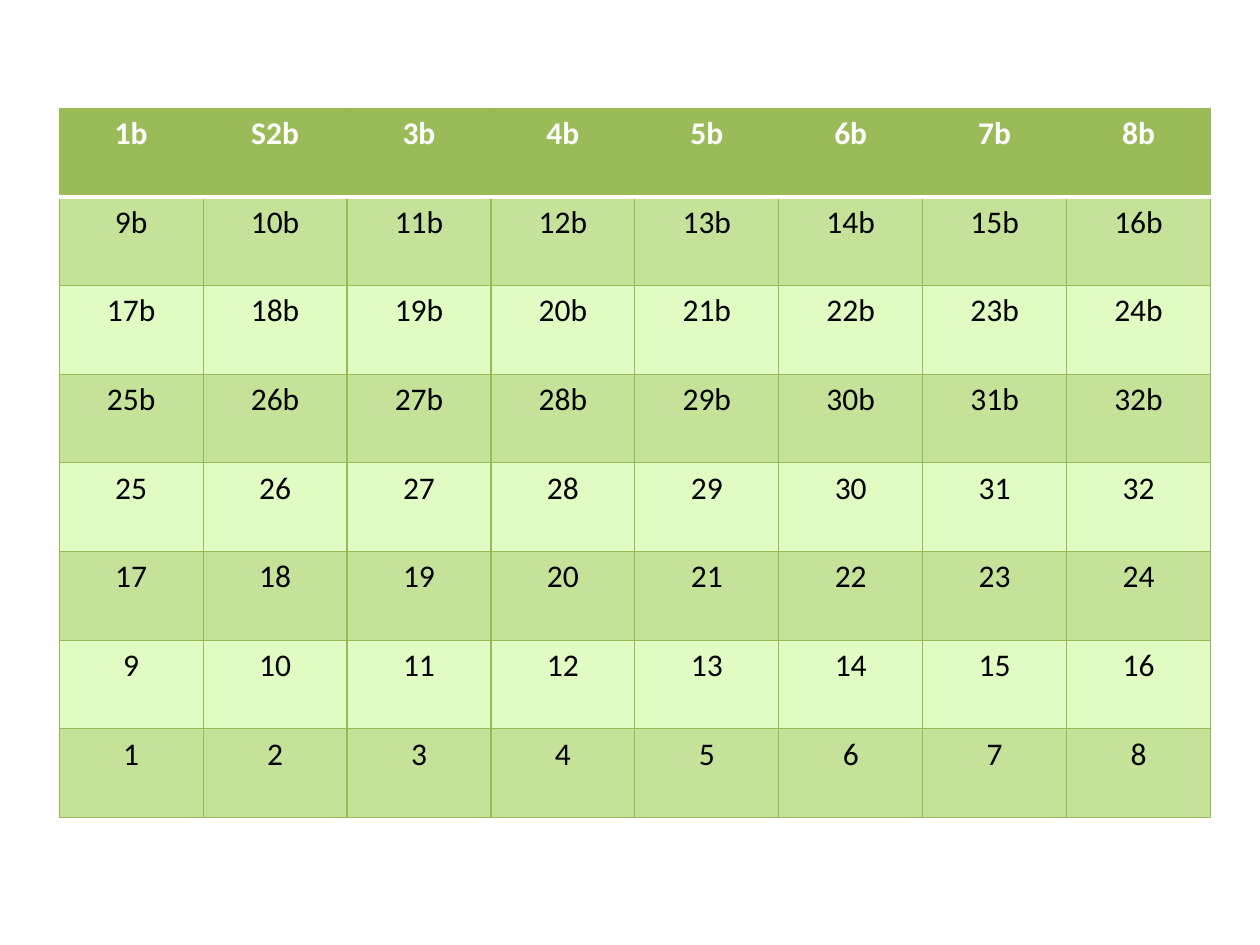
import pptx
import pptx.dml.color
import pptx.enum.text
import pptx.oxml
import pptx.oxml.ns
import pptx.util
from dataclasses import dataclass

Inches = pptx.util.Inches


@dataclass(frozen=True)
class Theme:
    font: str = "Calibri"
    size: int = 18
    header: str = "9BBB59"
    bands: tuple = ("E2FBC2", "C6E198")
    header_text: str = "FFFFFF"
    body_text: str = "000000"
    grid: str = "98B955"
    grid_width: float = 0.75
    divider: str = "FFFFFF"
    divider_width: float = 2


THEME = Theme()
COLUMNS = 8


def rgb(value):
    return pptx.dml.color.RGBColor.from_string(value)


def number_rows():
    starts = range(1, 4 * COLUMNS, COLUMNS)
    upper = [[f"{n}b" for n in range(s, s + COLUMNS)] for s in starts]
    lower = [[str(n) for n in range(s, s + COLUMNS)] for s in reversed(starts)]
    upper[0][1] = "S2b"
    return upper + lower


def set_borders(cell, row):
    properties = cell._tc.get_or_add_tcPr()
    divided_side = {0: "B", 1: "T"}.get(row)
    for position, side in enumerate("LRTB"):
        color, width = THEME.grid, THEME.grid_width
        if side == divided_side:
            color, width = THEME.divider, THEME.divider_width
        border = pptx.oxml.parse_xml(
            f'<a:ln{side} {pptx.oxml.ns.nsdecls("a")} w="{pptx.util.Pt(width)}">'
            f'<a:solidFill><a:srgbClr val="{color}"/></a:solidFill></a:ln{side}>'
        )
        properties.insert(position, border)


def style_cell(cell, label, row):
    is_header = row == 0
    cell.text = label
    cell.fill.solid()
    cell.fill.fore_color.rgb = rgb(THEME.header if is_header else THEME.bands[row % 2])
    paragraph = cell.text_frame.paragraphs[0]
    paragraph.alignment = pptx.enum.text.PP_ALIGN.CENTER
    paragraph.font.name = THEME.font
    paragraph.font.size = pptx.util.Pt(THEME.size)
    paragraph.font.bold = is_header
    paragraph.font.color.rgb = rgb(THEME.header_text if is_header else THEME.body_text)
    set_borders(cell, row)


def add_number_grid(slide, rows, left, top, width, height):
    grid = slide.shapes.add_table(len(rows), COLUMNS, left, top, width, height).table
    for row, labels in enumerate(rows):
        for column, label in enumerate(labels):
            style_cell(grid.cell(row, column), label, row)


def main():
    deck = pptx.Presentation()
    deck.slide_width, deck.slide_height = Inches(10), Inches(7.5)
    slide = deck.slides.add_slide(deck.slide_layouts[6])
    add_number_grid(slide, number_rows(), Inches(0.47), Inches(0.86), Inches(9.14), Inches(5.63))
    deck.save("out.pptx")


main()
